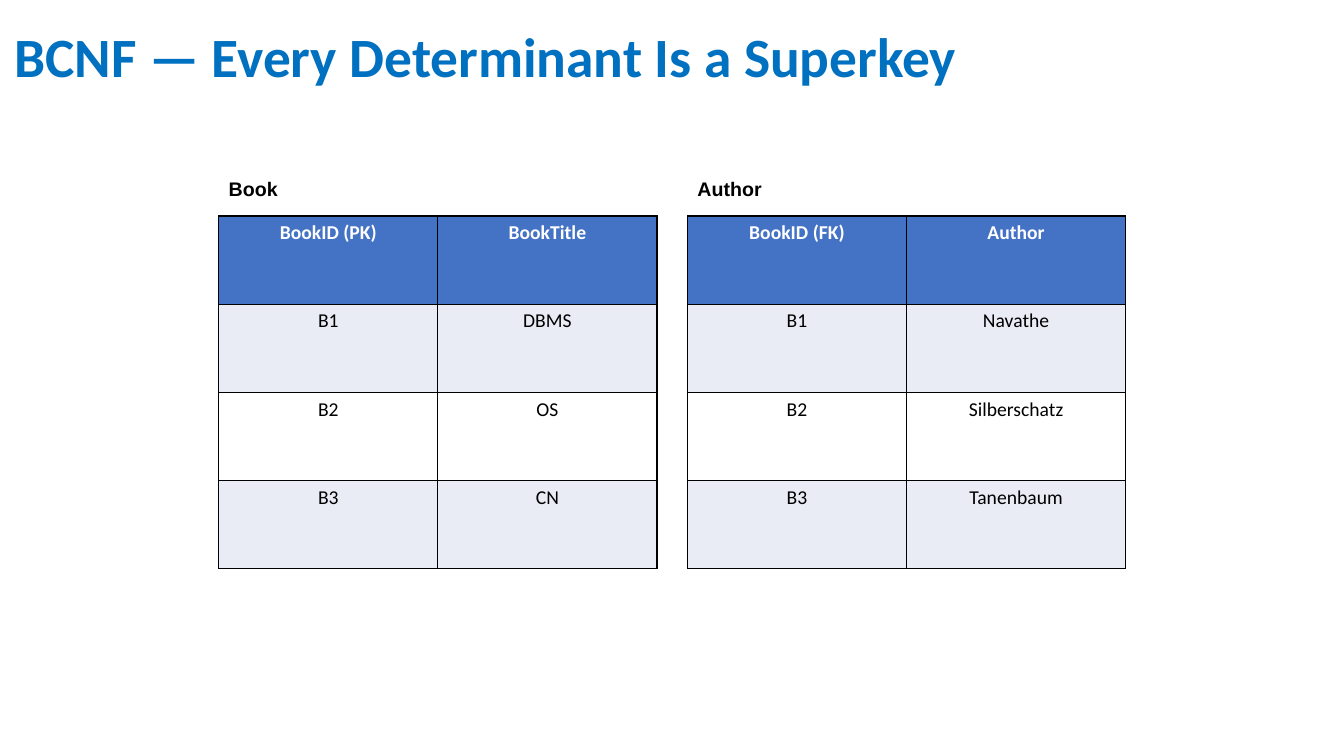
from dataclasses import dataclass

from lxml.etree import SubElement
from pptx import Presentation
from pptx.dml.color import RGBColor
from pptx.enum.text import MSO_ANCHOR, MSO_AUTO_SIZE, PP_ALIGN
from pptx.oxml.ns import qn
from pptx.util import Pt


@dataclass(frozen=True)
class Theme:
    title: str = "0070C0"
    header: str = "4472C4"
    band: str = "E9EBF5"
    white: str = "FFFFFF"
    black: str = "000000"
    body_font: str = "Calibri"
    label_font: str = "Arial"
    title_size: float = 39.6
    text_size: float = 14
    border: float = 1


THEME = Theme()
TABLE_TOP, COL_WIDTH, ROW_HEIGHT = 154.25, 156.5, 63
LABEL_TOP, LABEL_HEIGHT = 123.2, 24.2

# Label, left edge, label width, rows
RELATIONS = [
    ("Book", 156.3, 49.7, [("BookID (PK)", "BookTitle"), ("B1", "DBMS"),
                           ("B2", "OS"), ("B3", "CN")]),
    ("Author", 491.1, 60.5, [("BookID (FK)", "Author"), ("B1", "Navathe"),
                             ("B2", "Silberschatz"), ("B3", "Tanenbaum")]),
]


def style_text(p, font, size, color, bold):
    for r in p.runs:
        r.font.name = font
        r.font.size = Pt(size)
        r.font.bold = bold
        r.font.color.rgb = RGBColor.from_string(color)


def add_title(s, text):
    title = s.shapes.title
    title.left, title.top, title.width, title.height = Pt(3), Pt(13.7), Pt(721.5), Pt(57.6)
    tf = title.text_frame
    tf.text = text
    tf.word_wrap = True
    tf.auto_size = MSO_AUTO_SIZE.NONE
    tf.vertical_anchor = MSO_ANCHOR.MIDDLE
    p = tf.paragraphs[0]
    p.alignment = PP_ALIGN.LEFT
    p.line_spacing = 0.9
    style_text(p, THEME.body_font, THEME.title_size, THEME.title, True)


def add_label(s, text, left, width):
    sp = s.shapes.add_textbox(Pt(left), Pt(LABEL_TOP), Pt(width), Pt(LABEL_HEIGHT))
    tf = sp.text_frame
    tf.text = text
    tf.word_wrap = False
    tf.auto_size = MSO_AUTO_SIZE.SHAPE_TO_FIT_TEXT
    style_text(tf.paragraphs[0], THEME.label_font, THEME.text_size, THEME.black, True)


def set_borders(cell):
    tc_pr = cell._tc.get_or_add_tcPr()
    for side in ("a:lnL", "a:lnR", "a:lnT", "a:lnB"):
        ln = SubElement(tc_pr, qn(side), w=str(Pt(THEME.border)))
        fill = SubElement(ln, qn("a:solidFill"))
        SubElement(fill, qn("a:srgbClr"), val=THEME.black)


def style_cell(cell, text, row):
    header = row == 0
    # Borders come before the fill in the cell properties
    set_borders(cell)
    color = THEME.header if header else THEME.band if row % 2 else THEME.white
    cell.fill.solid()
    cell.fill.fore_color.rgb = RGBColor.from_string(color)
    cell.text_frame.text = text
    p = cell.text_frame.paragraphs[0]
    p.alignment = PP_ALIGN.CENTER
    style_text(p, THEME.body_font, THEME.text_size,
               THEME.white if header else THEME.black, header)


def add_relation(s, left, rows):
    n_rows, n_cols = len(rows), len(rows[0])
    table = s.shapes.add_table(n_rows, n_cols, Pt(left), Pt(TABLE_TOP),
                               Pt(n_cols * COL_WIDTH), Pt(n_rows * ROW_HEIGHT)).table
    for i, row in enumerate(rows):
        for j, text in enumerate(row):
            style_cell(table.cell(i, j), text, i)


def main():
    prs = Presentation()
    prs.slide_width, prs.slide_height = Pt(960), Pt(540)
    s = prs.slides.add_slide(prs.slide_layouts[5])

    # Heading
    add_title(s, "BCNF — Every Determinant Is a Superkey")

    # Labelled tables side by side
    for name, left, label_width, rows in RELATIONS:
        add_label(s, name, left, label_width)
        add_relation(s, left, rows)

    prs.save("out.pptx")


if __name__ == "__main__":
    main()
